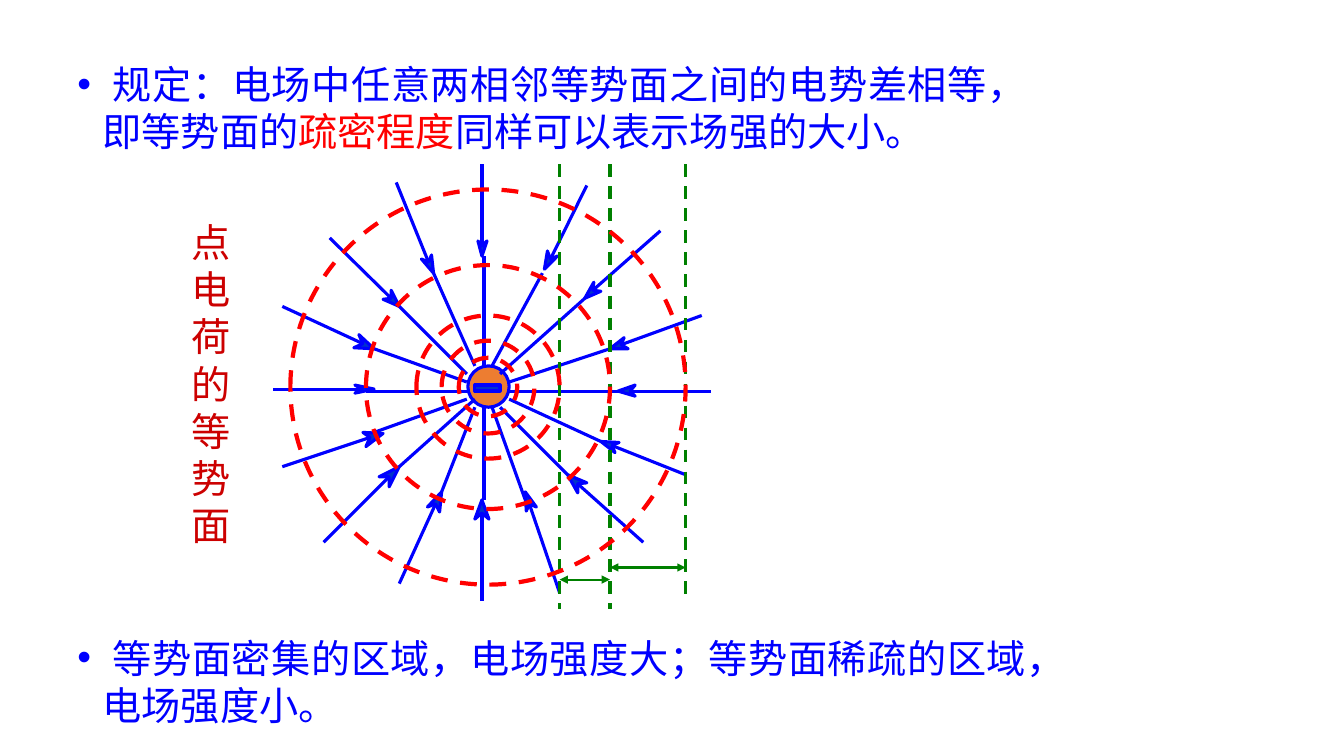
"""Build a slide on the equipotential surfaces of a negative point charge."""
from typing import NamedTuple

from lxml.etree import SubElement
from pptx import Presentation
from pptx.dml.color import RGBColor
from pptx.enum.dml import MSO_LINE
from pptx.enum.shapes import MSO_CONNECTOR, MSO_SHAPE
from pptx.enum.text import MSO_AUTO_SIZE, PP_ALIGN
from pptx.oxml.ns import qn
from pptx.util import Inches, Pt

BLUE = RGBColor(0x00, 0x00, 0xFF)
ARROW_BLUE = RGBColor(0x00, 0x33, 0xCC)
RED = RGBColor(0xFF, 0x00, 0x00)
DARK_RED = RGBColor(0xCC, 0x00, 0x00)
GREEN = RGBColor(0x00, 0x80, 0x00)
ORANGE = RGBColor(0xED, 0x7D, 0x31)
FONT = "Times New Roman"
CENTER = (4.84, 3.84)
RING_RADII = (1.21, 0.71, 0.46, 0.29, 1.96)

Point = tuple[float, float]


class FieldLine(NamedTuple):
    outer: Point
    notch: Point
    barb_a: Point
    tip: Point
    barb_b: Point
    inner_start: Point
    inner_end: Point


class Box(NamedTuple):
    left: float
    top: float
    width: float
    height: float


class Statement(NamedTuple):
    box: Box
    runs: tuple[tuple[str, RGBColor], ...]


class Span(NamedTuple):
    left: float
    right: float
    y: float


class Guide(NamedTuple):
    x: float
    bottom: float


FIELD_LINES = (
    FieldLine((2.71, 3.86), (3.59, 3.86), (3.52, 3.9), (3.71, 3.86), (3.52, 3.82), (3.63, 3.88), (4.63, 3.88)),
    FieldLine((2.8, 3.04), (3.6, 3.41), (3.51, 3.45), (3.71, 3.46), (3.56, 3.32), (3.71, 3.46), (4.63, 3.79)),
    FieldLine((3.27, 2.36), (3.88, 2.96), (3.8, 2.97), (3.96, 3.04), (3.88, 2.88), (3.96, 3.04), (4.63, 3.71)),
    FieldLine((3.93, 1.81), (4.25, 2.6), (4.18, 2.57), (4.3, 2.71), (4.28, 2.53), (4.3, 2.71), (4.71, 3.63)),
    FieldLine((4.78, 1.63), (4.78, 2.44), (4.74, 2.39), (4.78, 2.54), (4.83, 2.39), (4.8, 2.54), (4.8, 3.63)),
    FieldLine((5.82, 1.84), (5.46, 2.57), (5.43, 2.49), (5.4, 2.67), (5.53, 2.54), (5.38, 2.71), (4.88, 3.63)),
    FieldLine((6.55, 2.29), (5.88, 2.88), (5.89, 2.8), (5.8, 2.96), (5.96, 2.89), (5.8, 2.96), (4.96, 3.71)),
    FieldLine((6.96, 3.13), (6.16, 3.42), (6.19, 3.35), (6.05, 3.46), (6.23, 3.46), (6.05, 3.46), (5.05, 3.79)),
    FieldLine((7.05, 3.88), (6.25, 3.88), (6.3, 3.82), (6.13, 3.88), (6.3, 3.93), (6.13, 3.88), (5.05, 3.88)),
    FieldLine((6.8, 4.71), (6.07, 4.42), (6.14, 4.39), (5.96, 4.38), (6.1, 4.49), (5.96, 4.38), (5.05, 3.96)),
    FieldLine((6.38, 5.38), (5.73, 4.8), (5.82, 4.79), (5.63, 4.71), (5.73, 4.89), (5.63, 4.71), (4.96, 4.04)),
    FieldLine((5.55, 5.88), (5.25, 5.0), (5.32, 5.03), (5.21, 4.88), (5.22, 5.07), (5.21, 4.96), (4.88, 4.04)),
    FieldLine((4.78, 5.96), (4.78, 5.09), (4.85, 5.15), (4.78, 4.96), (4.71, 5.15), (4.8, 4.96), (4.8, 4.04)),
    FieldLine((3.96, 5.79), (4.32, 5.0), (4.36, 5.08), (4.38, 4.88), (4.24, 5.03), (4.38, 4.88), (4.71, 4.04)),
    FieldLine((3.21, 5.38), (3.86, 4.73), (3.86, 4.83), (3.96, 4.63), (3.76, 4.73), (3.96, 4.63), (4.71, 3.96)),
    FieldLine((2.8, 4.63), (3.67, 4.34), (3.63, 4.43), (3.8, 4.3), (3.6, 4.29), (3.71, 4.29), (4.63, 3.96)),
)
GUIDES = (Guide(5.55, 6.04), Guide(6.05, 6.04), Guide(6.8, 5.96))
SPANS = (Span(5.55, 6.05, 5.75), Span(6.05, 6.8, 5.63))
RULE = Statement(Box(0.67, 0.55, 9.62, 1.03), (
    (" 规定：电场中任意两相邻等势面之间的电势差相等，即等势面的", BLUE),
    ("疏密程度", RED),
    ("同样可以表示场强的大小。", BLUE),
))
CONCLUSION = Statement(Box(0.67, 6.24, 9.62, 1.04), (
    (" 等势面密集的区域，电场强度大；等势面稀疏的区域，电场强度小。", BLUE),
))


def style_line(line, color: RGBColor, width: float, dashed: bool = False) -> None:
    line.color.rgb = color
    line.width = Pt(width)
    if dashed:
        line.dash_style = MSO_LINE.DASH


def add_line(shapes, start: Point, end: Point, color: RGBColor, width: float = 2.25,
             dashed: bool = False, arrows: bool = False) -> None:
    connector = shapes.add_connector(MSO_CONNECTOR.STRAIGHT, *map(Inches, start + end))
    style_line(connector.line, color, width, dashed)
    properties = connector._element.spPr
    if arrows:
        for end_tag in ("a:headEnd", "a:tailEnd"):
            SubElement(properties.find(qn("a:ln")), qn(end_tag), type="triangle")
    SubElement(properties, qn("a:effectLst"))


def add_figure(shapes, kind: MSO_SHAPE, box: Box, fill: RGBColor | None, line: RGBColor,
               width: float = 2.25, dashed: bool = False) -> None:
    figure = shapes.add_shape(kind, *map(Inches, box))
    figure.shadow.inherit = False
    if fill is None:
        figure.fill.background()
    else:
        figure.fill.solid()
        figure.fill.fore_color.rgb = fill
    style_line(figure.line, line, width, dashed)


def add_field_line(shapes, ray: FieldLine) -> None:
    add_line(shapes, ray.outer, ray.notch, BLUE)
    builder = shapes.build_freeform(*map(Inches, ray.barb_a))
    corners = (ray.tip, ray.barb_b, ray.notch)
    builder.add_line_segments([(Inches(x), Inches(y)) for x, y in corners], close=True)
    arrow = builder.convert_to_shape()
    arrow.shadow.inherit = False
    arrow.fill.solid()
    arrow.fill.fore_color.rgb = ARROW_BLUE
    style_line(arrow.line, BLUE, 2.25)
    add_line(shapes, ray.inner_start, ray.inner_end, BLUE)


def add_text(shapes, box: Box):
    frame = shapes.add_textbox(*map(Inches, box)).text_frame
    frame.word_wrap = True
    frame.auto_size = MSO_AUTO_SIZE.SHAPE_TO_FIT_TEXT
    return frame.paragraphs[0]


def set_font(font, color: RGBColor | None) -> None:
    font.name = FONT
    font.size = Pt(28)
    if color is not None:
        font.color.rgb = color


def add_statement(shapes, statement: Statement) -> None:
    paragraph = add_text(shapes, statement.box)
    paragraph.alignment = PP_ALIGN.JUSTIFY
    properties = paragraph._p.get_or_add_pPr()
    properties.set("marL", str(Inches(0.25)))
    properties.set("indent", str(-Inches(0.25)))
    SubElement(properties, qn("a:buFont"), typeface="Arial")
    SubElement(properties, qn("a:buChar"), char="•")
    colors = {color for _, color in statement.runs}
    set_font(paragraph.font, colors.pop() if len(colors) == 1 else None)
    for text, color in statement.runs:
        run = paragraph.add_run()
        run.text = text
        if colors:
            run.font.color.rgb = color


def main() -> None:
    deck = Presentation()
    deck.slide_width, deck.slide_height = Inches(13.33), Inches(7.5)
    shapes = deck.slides.add_slide(deck.slide_layouts[6]).shapes

    add_figure(shapes, MSO_SHAPE.OVAL, Box(4.64, 3.63, 0.41, 0.41), ORANGE, BLUE)
    add_figure(shapes, MSO_SHAPE.RECTANGLE, Box(4.71, 3.82, 0.25, 0.06), ARROW_BLUE, BLUE)
    for ray in FIELD_LINES:
        add_field_line(shapes, ray)
    for guide in GUIDES:
        add_line(shapes, (guide.x, 1.63), (guide.x, guide.bottom), GREEN, dashed=True)
    for span in SPANS:
        add_line(shapes, (span.left, span.y), (span.right, span.y), GREEN, 1.5, arrows=True)

    add_statement(shapes, RULE)
    for radius in RING_RADII:
        ring = Box(CENTER[0] - radius, CENTER[1] - radius, 2 * radius, 2 * radius)
        add_figure(shapes, MSO_SHAPE.OVAL, ring, None, RED, 3, dashed=True)
    add_statement(shapes, CONCLUSION)

    caption = add_text(shapes, Box(1.8, 2.12, 0.67, 3.4))
    caption.text = "点电荷的等势面"
    set_font(caption.font, DARK_RED)
    deck.save("out.pptx")


if __name__ == "__main__":
    main()
